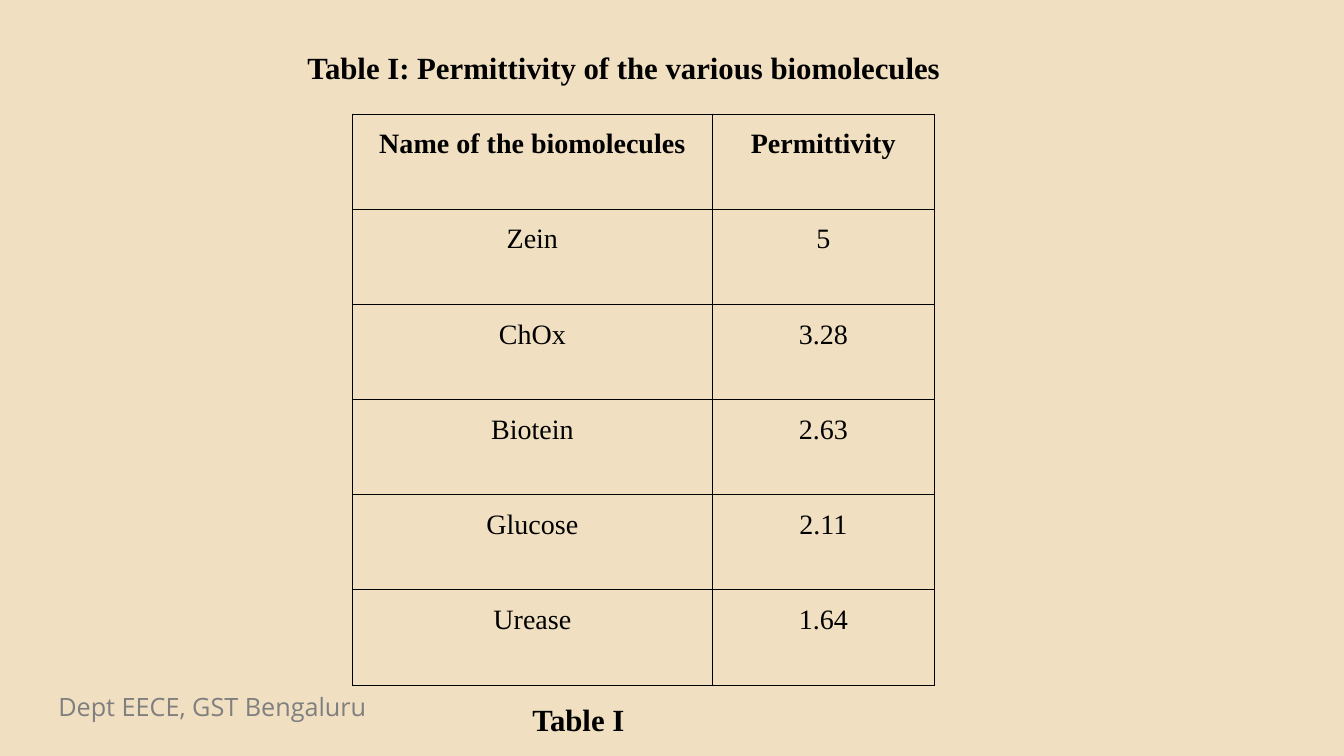
"""Build a slide with a table of biomolecule permittivities."""
from dataclasses import dataclass

from lxml import etree
from pptx import Presentation
from pptx import util as u
from pptx.dml.color import RGBColor
from pptx.enum import text
from pptx.oxml.ns import qn

COLORS = {"sand": "F0E0C1", "black": "000000", "grey": "7F7F7F"}
WIDTH, HEIGHT = u.Inches(13.33), u.Inches(7.5)
SERIF = "Times New Roman"
SPACED = {"line_spacing": 1.15, "space_before": u.Pt(12), "space_after": u.Pt(12)}
JUSTIFIED = {**SPACED, "alignment": text.PP_ALIGN.JUSTIFY}
CENTERED = {**SPACED, "alignment": text.PP_ALIGN.CENTER}
HEADING = {"name": SERIF, "size": u.Pt(22), "bold": True}
FOOTER = {"name": "Open Sans", "size": u.Pt(18)}
ROWS = [
    ("Name of the biomolecules", "Permittivity"),
    ("Zein", "5"),
    ("ChOx", "3.28"),
    ("Biotein", "2.63"),
    ("Glucose", "2.11"),
    ("Urease", "1.64"),
]
COLUMN_SHARES = (26.78, 16.52)
ROW_SHARE = 12.59


@dataclass(frozen=True)
class Label:
    """A text box, placed in percent of the slide's size."""

    words: str
    left: float
    top: float
    width: float
    height: float
    font: dict
    para: dict
    color: str = "black"
    inset_x: float = 0.1
    inset_y: float = 0.1


LABELS = [
    Label("Dept EECE, GST Bengaluru", 3.6, 90.8, 39.31, 5.33, FOOTER, {}, "grey", inset_y=0.05),
    Label("Table I: Permittivity of the various biomolecules",
          22.13, 4.4, 51.46, 7.6, HEADING, JUSTIFIED),
    Label("Table I", 36.61, 90.67, 24.61, 7.6, HEADING, JUSTIFIED, inset_x=0.4),
]


def across(share: float) -> int:
    """Turn a percentage of the slide's width into a length."""
    return round(WIDTH * share / 100)


def down(share: float) -> int:
    """Turn a percentage of the slide's height into a length."""
    return round(HEIGHT * share / 100)


def apply(target: object, values: dict) -> None:
    """Set each named attribute on the target."""
    for name, value in values.items():
        setattr(target, name, value)


def write(tf, words: str, font: dict, para: dict, color: str) -> None:
    """Write one formatted paragraph into a text frame."""
    p = tf.paragraphs[0]
    apply(p, para)
    r = p.add_run()
    r.text = words
    apply(r.font, font)
    r.font.color.rgb = RGBColor.from_string(COLORS[color])


def add_label(s, label: Label) -> None:
    """Draw a text box."""
    sp = s.shapes.add_textbox(across(label.left), down(label.top),
                              across(label.width), down(label.height))
    tf = sp.text_frame
    apply(tf, {
        "word_wrap": True,
        "auto_size": text.MSO_AUTO_SIZE.SHAPE_TO_FIT_TEXT,
        "margin_left": u.Inches(label.inset_x), "margin_right": u.Inches(0.1),
        "margin_top": u.Inches(label.inset_y), "margin_bottom": u.Inches(label.inset_y),
    })
    write(tf, label.words, label.font, label.para, label.color)


def add_borders(cell) -> None:
    """Rule all four sides of a cell."""
    tc_pr = cell._tc.get_or_add_tcPr()
    for side in ("lnL", "lnR", "lnT", "lnB"):
        ln = etree.SubElement(tc_pr, qn(f"a:{side}"), w=str(u.Pt(0.6)))
        fill = etree.SubElement(ln, qn("a:solidFill"))
        etree.SubElement(fill, qn("a:srgbClr"), val=COLORS["black"])


def add_permittivity_table(s) -> None:
    """Draw the table of biomolecules."""
    table = s.shapes.add_table(
        len(ROWS), len(COLUMN_SHARES), across(26.22), down(15.07),
        across(sum(COLUMN_SHARES)), down(ROW_SHARE * len(ROWS))).table
    apply(table, {"first_row": False, "horz_banding": False})
    for column, share in zip(table.columns, COLUMN_SHARES):
        column.width = across(share)
    for i, (row, words) in enumerate(zip(table.rows, ROWS)):
        row.height = down(ROW_SHARE)
        font = {"name": SERIF, "size": u.Pt(20), "bold": i == 0}
        for cell, word in zip(row.cells, words):
            apply(cell, {
                "margin_left": u.Inches(0.07), "margin_right": u.Inches(0.07),
                "margin_top": u.Inches(0.1), "margin_bottom": u.Inches(0.1),
            })
            add_borders(cell)
            cell.fill.background()
            write(cell.text_frame, word, font, CENTERED, "black")


def main() -> None:
    """Build and save the slide."""
    prs = Presentation()
    apply(prs, {"slide_width": WIDTH, "slide_height": HEIGHT})
    s = prs.slides.add_slide(prs.slide_layouts[6])
    s.background.fill.solid()
    s.background.fill.fore_color.rgb = RGBColor.from_string(COLORS["sand"])
    footer, title, caption = LABELS
    add_label(s, footer)
    add_label(s, title)
    add_permittivity_table(s)
    add_label(s, caption)
    prs.save("out.pptx")


if __name__ == "__main__":
    main()
